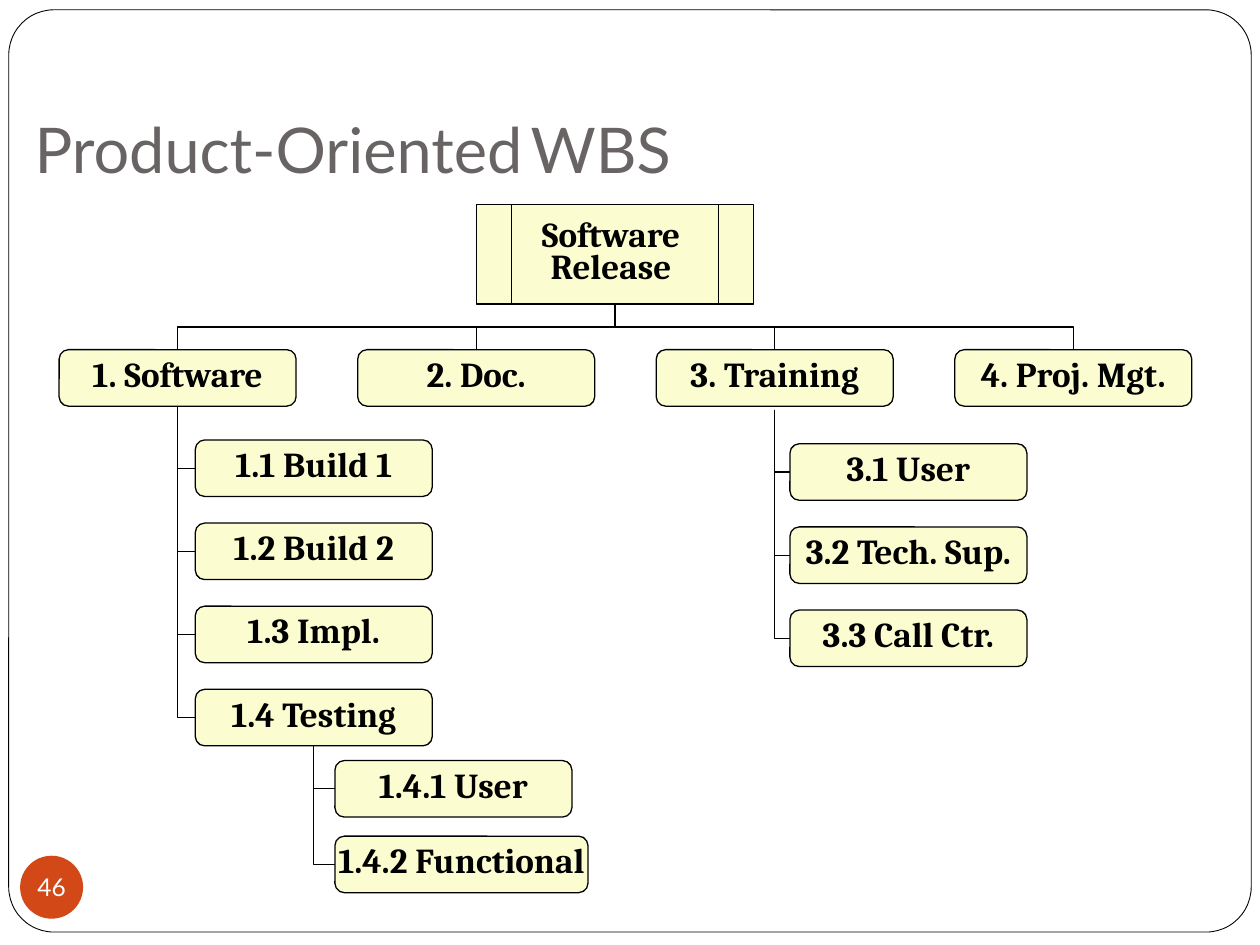
from lxml.etree import SubElement
from pptx import Presentation
from pptx.dml.color import RGBColor
from pptx.enum.shapes import MSO_CONNECTOR as Link, MSO_SHAPE as Shape
from pptx.enum.text import MSO_ANCHOR as Anchor, MSO_AUTO_SIZE as AutoSize, PP_ALIGN as Align
from pptx.oxml.ns import qn
from pptx.util import Pt

TITLE = [("Product-Oriented", 36, "696464"), (" ", 18, "0000CC"), ("WBS", 36, "696464")]
PAGE_NUMBER = "46"
ROOT = ["Software ", "Release "]
BRANCHES = ["1. Software", "2. Doc.", "3. Training", "4. Proj. Mgt."]
# parent, children, left, top, pitch, gap between the parent and its stem
GROUPS = [
    ("1. Software", ["1.1 Build 1", "1.2 Build 2", "1.3 Impl.", "1.4 Testing"],
     111.6, 251.4, 47.5, 0),
    ("1.4 Testing", ["1.4.1 User", "1.4.2 Functional"], 191.4, 434.6, 43.2, 0),
    ("3. Training", ["3.1 User", "3.2 Tech. Sup.", "3.3 Call Ctr."],
     451.4, 253.6, 47.5, 2),
]
BOX_WIDTH, BOX_HEIGHT = 135.4, 32.3
WIDE_BOXES = {"1.4.2 Functional": 144.6}
BRANCH_LEFT, BRANCH_TOP, BRANCH_PITCH = 33.8, 199.8, 170.6
BOTTOM, LEFT, TOP = 2, 1, 0


def rgb(value):
    return RGBColor.from_string(value)


def add_span(para, text, size, color, font, bold=False):
    span = para.add_run()
    span.text = text
    span.font.size = Pt(size)
    span.font.name = font
    span.font.bold = bold
    span.font.color.rgb = rgb(color)


def add_plain_shape(kind, left, top, width, height, fill, line_width=0):
    shape = page.shapes.add_shape(kind, Pt(left), Pt(top), Pt(width), Pt(height))
    shape.shadow.inherit = False
    shape.fill.solid()
    shape.fill.fore_color.rgb = rgb(fill)
    if line_width:
        shape.line.color.rgb = rgb("000000")
        shape.line.width = Pt(line_width)
    else:
        shape.line.fill.background()
    shape.text_frame.word_wrap = False
    shape.text_frame.vertical_anchor = Anchor.MIDDLE
    return shape


def add_box(lines, left, top, width=BOX_WIDTH, height=BOX_HEIGHT,
            kind=Shape.ROUNDED_RECTANGLE):
    box = add_plain_shape(kind, left, top, width, height, "FAFAA4", 0.75)
    color = box.element.spPr.find(qn("a:solidFill"))[0]
    SubElement(color, qn("a:alpha"), val="50000")
    frame = box.text_frame
    for index, line in enumerate(lines):
        para = frame.add_paragraph() if index else frame.paragraphs[0]
        para.alignment = Align.CENTER
        para.line_spacing = 0.75
        add_span(para, line, 20, "000000", "Cambria", bold=True)
    return box


def link(parent, child, side, gap=0):
    """Draw an elbow that leaves the parent downwards and ends at a side of the child."""
    x1, y1 = parent.left + parent.width // 2, parent.top + parent.height + Pt(gap)
    if side == TOP:
        x2, y2 = child.left + child.width // 2, child.top
    else:
        x2, y2 = child.left, child.top + child.height // 2
    elbow = page.shapes.add_connector(Link.ELBOW, x1, y1, x2, y2)
    if not gap:
        elbow.begin_connect(parent, BOTTOM)
    elbow.end_connect(child, side)
    # The elbow runs sideways by default, so its frame is turned by a quarter.
    elbow.width, elbow.height = y2 - y1, abs(x2 - x1)
    elbow.left = (x1 + x2 - elbow.width) // 2
    elbow.top = (y1 + y2 - elbow.height) // 2
    to_right = x2 > x1
    properties = elbow.element.spPr
    frame = properties.find(qn("a:xfrm"))
    frame.set("rot", str((270 if to_right else 90) * 60000))
    frame.set("flipH", str(int(to_right)))
    frame.set("flipV", "0")
    if side == LEFT:
        properties.find(qn("a:prstGeom")).set("prst", "bentConnector2")
    elbow.line.color.rgb = rgb("000000")
    elbow.line.width = Pt(0.75)
    SubElement(properties, qn("a:effectLst"))


deck = Presentation()
deck.slide_width, deck.slide_height = Pt(720), Pt(540)
page = deck.slides.add_slide(deck.slide_layouts[5])

border = add_plain_shape(Shape.ROUNDED_RECTANGLE, 5, 5.6, 710, 527, "FFFFFF", 0.5)
border.adjustments[0] = 0.049
page.shapes.element.insert(2, border.element)

title = page.shapes.title
title.left, title.top, title.width, title.height = Pt(12.6), Pt(77.8), Pt(684), Pt(36)
frame = title.text_frame
frame.auto_size = AutoSize.NONE
frame.word_wrap = True
frame.vertical_anchor = Anchor.BOTTOM
frame.margin_left = frame.margin_right = frame.margin_bottom = Pt(7.2)
frame.margin_top = Pt(3.6)
frame.paragraphs[0].alignment = Align.LEFT
for text, size, color in TITLE:
    add_span(frame.paragraphs[0], text, size, color, "Lato")

badge = add_plain_shape(Shape.OVAL, 11.5, 489, 36, 36, "D34817")
frame = badge.text_frame
frame.margin_left = frame.margin_right = frame.margin_top = frame.margin_bottom = 0
frame.paragraphs[0].alignment = Align.CENTER
add_span(frame.paragraphs[0], PAGE_NUMBER, 14, "FFFFFF", "Lato")

root = add_box(ROOT, 272.4, 116.8, 158, 57, Shape.FLOWCHART_PREDEFINED_PROCESS)
boxes = {}
for column, name in enumerate(BRANCHES):
    boxes[name] = add_box([name], BRANCH_LEFT + column * BRANCH_PITCH, BRANCH_TOP)
    link(root, boxes[name], TOP)

for parent, children, left, top, pitch, gap in GROUPS:
    for row, name in enumerate(children):
        width = WIDE_BOXES.get(name, BOX_WIDTH)
        boxes[name] = add_box([name], left, top + row * pitch, width)
        link(boxes[parent], boxes[name], LEFT, gap)

deck.save("out.pptx")
